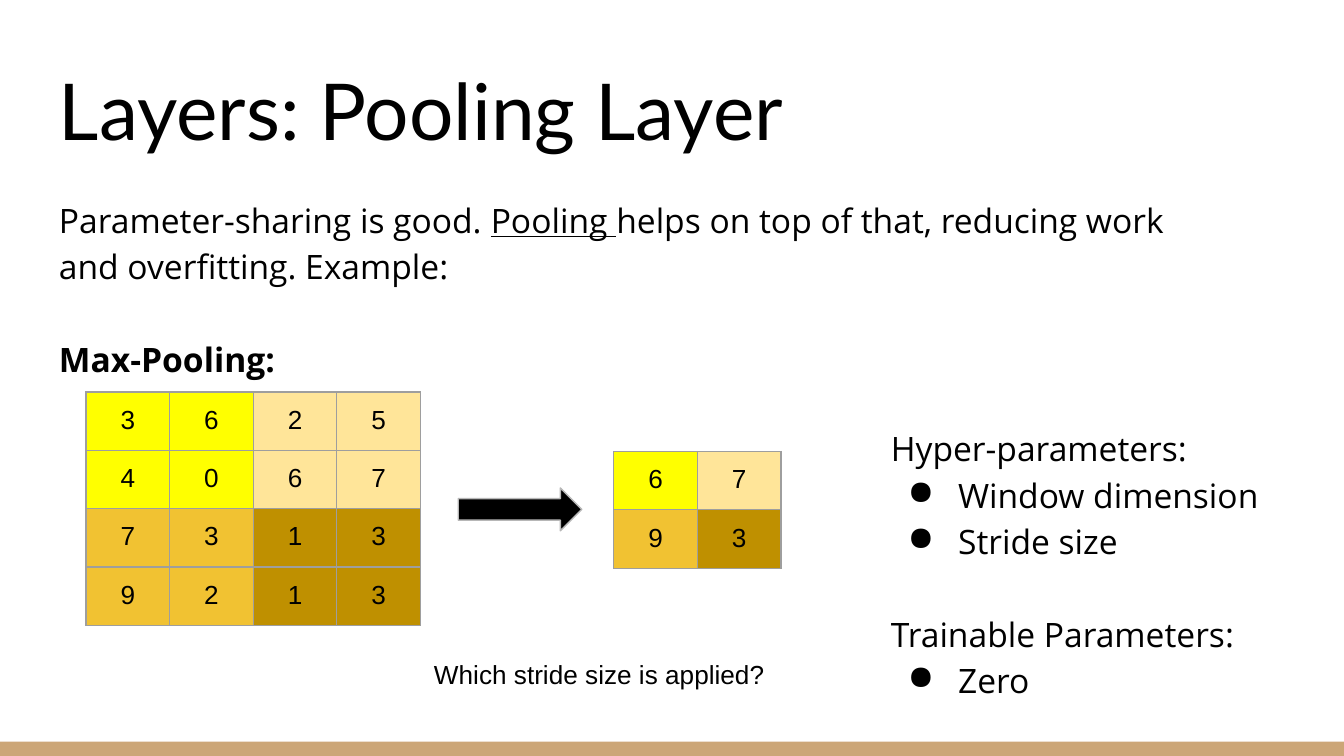
from dataclasses import dataclass

from pptx import Presentation
from pptx.dml.color import RGBColor
from pptx.enum.shapes import MSO_SHAPE as Preset
from pptx.enum.text import MSO_ANCHOR as Anchor, PP_ALIGN as Align
from pptx.oxml import parse_xml
from pptx.oxml.ns import nsdecls
from pptx.util import Pt

COLORS = {
    "text": "000000",
    "bar": "CCA677",
    "grid": "9E9E9E",
    "arrow_edge": "B7B7B7",
}
# One colour per pooling window, by window row and column
WINDOW_COLORS = [["FFFF00", "FFE599"], ["F1C232", "BF9000"]]
WINDOW = 2
INSET = 7.2
LINE_GAP = 24.8  # one empty line of 18 pt body text
CELL_WIDTH, CELL_HEIGHT = 44.8, 30


@dataclass
class Box:
    left: float
    top: float
    width: float
    height: float

    def lengths(self) -> tuple:
        return Pt(self.left), Pt(self.top), Pt(self.width), Pt(self.height)


@dataclass
class Run:
    text: str
    bold: bool = False
    underline: bool = False


@dataclass
class Para:
    runs: list[Run]
    bullet: bool = False
    before: float = 0


def rgb(hex_color: str) -> RGBColor:
    return RGBColor.from_string(hex_color)


def write(paragraph, runs: list[Run], *, size: float, font: str, align=Align.LEFT,
          spacing: float = 1, before: float = 0) -> None:
    """Put formatted runs into a paragraph."""
    paragraph.alignment = align
    paragraph.line_spacing = spacing
    paragraph.space_before = Pt(before)
    for part in runs:
        run = paragraph.add_run()
        run.text = part.text
        run.font.size, run.font.name = Pt(size), font
        run.font.bold, run.font.underline = part.bold, part.underline
        run.font.color.rgb = rgb(COLORS["text"])


def add_bullet(paragraph) -> None:
    properties = paragraph._p.get_or_add_pPr()
    properties.set("marL", str(Pt(36)))
    properties.set("indent", str(Pt(-27)))
    properties.append(parse_xml(
        f'<a:buClr {nsdecls("a")}><a:srgbClr val="{COLORS["text"]}"/></a:buClr>'))
    properties.append(parse_xml(f'<a:buChar {nsdecls("a")} char="●"/>'))


def add_text(slide, box: Box, paras: list[Para], *, anchor=Anchor.TOP, **style) -> None:
    frame = slide.shapes.add_textbox(*box.lengths()).text_frame
    frame.word_wrap = True
    frame.vertical_anchor = anchor
    frame.margin_left = frame.margin_right = Pt(INSET)
    frame.margin_top = frame.margin_bottom = Pt(INSET)
    for index, para in enumerate(paras):
        paragraph = frame.add_paragraph() if index else frame.paragraphs[0]
        write(paragraph, para.runs, before=para.before, **style)
        if para.bullet:
            add_bullet(paragraph)


def add_block(slide, preset, box: Box, fill: str, edge: str = "") -> None:
    block = slide.shapes.add_shape(preset, *box.lengths())
    block.shadow.inherit = False
    block.fill.solid()
    block.fill.fore_color.rgb = rgb(fill)
    if edge:
        block.line.color.rgb = rgb(edge)
        block.line.width = Pt(0.75)
    else:
        block.line.fill.background()


def add_borders(cell) -> None:
    properties = cell._tc.get_or_add_tcPr()
    for index, side in enumerate(("lnL", "lnR", "lnT", "lnB")):
        properties.insert(index, parse_xml(
            f'<a:{side} {nsdecls("a")} w="{Pt(0.75)}"><a:solidFill>'
            f'<a:srgbClr val="{COLORS["grid"]}"/></a:solidFill></a:{side}>'))


def add_matrix(slide, left: float, top: float, values: list[list[int]], window: int) -> None:
    """Draw a square matrix, coloured in blocks of window by window cells."""
    count = len(values)
    box = Box(left, top, count * CELL_WIDTH, count * CELL_HEIGHT)
    matrix = slide.shapes.add_table(count, count, *box.lengths()).table
    for index in range(count):
        matrix.columns[index].width = Pt(CELL_WIDTH)
        matrix.rows[index].height = Pt(CELL_HEIGHT)
    for row, numbers in enumerate(values):
        for column, number in enumerate(numbers):
            cell = matrix.cell(row, column)
            cell.margin_left = cell.margin_right = Pt(INSET)
            cell.margin_top = cell.margin_bottom = Pt(INSET)
            cell.fill.solid()
            cell.fill.fore_color.rgb = rgb(WINDOW_COLORS[row // window][column // window])
            add_borders(cell)
            write(cell.text_frame.paragraphs[0], [Run(str(number))],
                  size=14, font="Arial", align=Align.CENTER)


def max_pool(values: list[list[int]]) -> list[list[int]]:
    starts = range(0, len(values), WINDOW)
    return [[max(max(line[x:x + WINDOW]) for line in values[y:y + WINDOW])
             for x in starts] for y in starts]


def main() -> None:
    deck = Presentation()
    deck.slide_width, deck.slide_height = Pt(720), Pt(405)
    slide = deck.slides.add_slide(deck.slide_layouts[6])
    body = {"size": 18, "font": "Open Sans", "spacing": 1.15}

    # Bottom bar and title
    add_block(slide, Preset.RECTANGLE, Box(0, 397.4, 720, 7.6), COLORS["bar"])
    add_text(slide, Box(24.5, 25.2, 671, 65.5), [Para([Run("Layers: Pooling Layer")])],
             anchor=Anchor.BOTTOM, size=42, font="Lato")

    # Introduction
    add_text(slide, Box(24.5, 96.5, 639.4, 101.5), [
        Para([Run("Parameter-sharing is good. "), Run("Pooling ", underline=True),
              Run("helps on top of that, reducing work and overfitting. Example:")]),
        Para([Run("Max-Pooling:", bold=True)], before=LINE_GAP),
    ], **body)

    # Input matrix, arrow and pooled matrix
    inputs = [[3, 6, 2, 5], [4, 0, 6, 7], [7, 3, 1, 3], [9, 2, 1, 3]]
    add_matrix(slide, 46.1, 210, inputs, WINDOW)
    add_block(slide, Preset.RIGHT_ARROW, Box(245.5, 261.4, 66.2, 23),
              COLORS["text"], COLORS["arrow_edge"])
    add_matrix(slide, 328.8, 241.9, max_pool(inputs), 1)

    # Parameters
    add_text(slide, Box(470.2, 218.9, 240.5, 101.5), [
        Para([Run("Hyper-parameters:")]),
        Para([Run("Window dimension")], bullet=True),
        Para([Run("Stride size")], bullet=True),
        Para([Run("Trainable Parameters:")], before=LINE_GAP),
        Para([Run("Zero")], bullet=True),
    ], **body)

    # Question
    add_text(slide, Box(225.4, 345.6, 243.4, 28), [Para([Run("Which stride size is applied?")])],
             size=14, font="Arial")

    deck.save("out.pptx")


if __name__ == "__main__":
    main()
